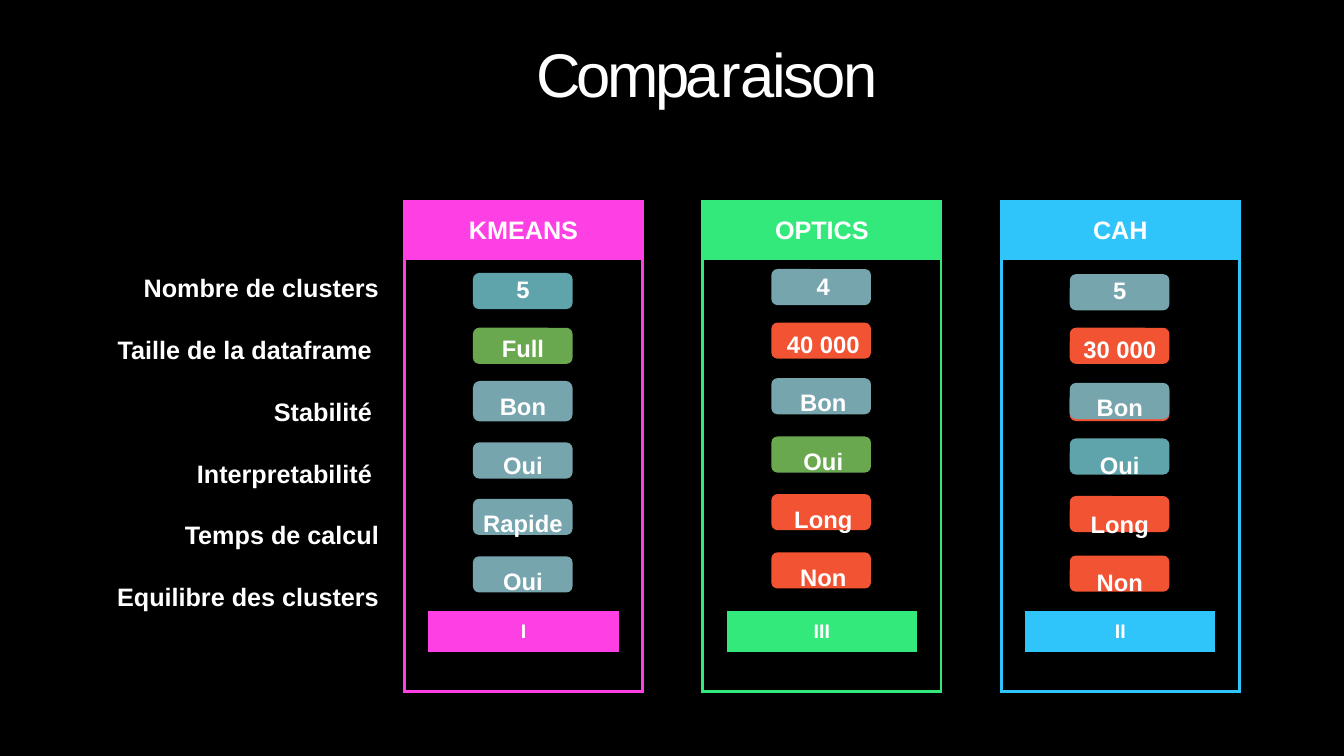
from collections import namedtuple

from lxml import etree
from pptx import Presentation
from pptx.dml.color import RGBColor
from pptx.enum.shapes import MSO_SHAPE
from pptx.enum.text import MSO_ANCHOR, MSO_AUTO_SIZE, PP_ALIGN
from pptx.oxml.ns import qn
from pptx.util import Cm, Pt

BLACK = RGBColor(0x00, 0x00, 0x00)
WHITE = RGBColor(0xFF, 0xFF, 0xFF)
PINK = RGBColor(0xFE, 0x3F, 0xE4)
GREEN = RGBColor(0x33, 0xE9, 0x7C)
BLUE = RGBColor(0x2F, 0xC5, 0xFA)
GREY = RGBColor(0x76, 0xA5, 0xAE)
TEAL = RGBColor(0x5F, 0xA4, 0xAB)
LEAF = RGBColor(0x6A, 0xA8, 0x4F)
ORANGE = RGBColor(0xF1, 0x53, 0x33)

FONT = "Arial"
CARD_LEFT, CARD_TOP, CARD_PITCH = 10.19, 5.08, 7.52
CARD_COLUMNS = (0.59, 4.79, 0.59)
CARD_ROWS = (1.47, 3.07, 2.21, 2.57, 0.99, 1.04, 0.99)
HEADER_ROW, RANK_ROW = 0, 5
CHIP_LEFT, CHIP_WIDTH, CHIP_HEIGHT = 1.73, 2.51, 0.91

CRITERIA = ("Nombre de clusters", "Taille de la dataframe ", "Stabilité ",
            "Interpretabilité ", "Temps de calcul", "Equilibre des clusters")

# Chip tops and the place of the values are in cm from the card's corner.
Method = namedtuple("Method", "name rank color values chip_colors chip_tops values_at")
METHODS = (
    Method("KMEANS", "I", PINK,
           ("5", "Full", "Bon", "Oui", "Rapide", "Oui"),
           (TEAL, LEAF, GREY, GREY, GREY, GREY),
           (1.8, 3.18, 4.52, 6.07, 7.49, 8.94), (1.3, 1.73)),
    Method("OPTICS", "III", GREEN,
           ("4", "40 000", "Bon", "Oui", "Long", "Non"),
           (GREY, ORANGE, GREY, LEAF, ORANGE, ORANGE),
           (1.7, 3.05, 4.45, 5.92, 7.37, 8.84), (1.35, 1.63)),
    Method("CAH", "II", BLUE,
           ("5", "30 000", "Bon", "Oui", "Long", "Non"),
           (GREY, ORANGE, GREY, TEAL, ORANGE, ORANGE),
           (1.83, 3.18, 4.57, 5.97, 7.42, 8.92), (1.3, 1.75)),
)


def style(paragraph, size, align):
    paragraph.alignment = align
    font = paragraph.font
    font.name, font.size, font.bold = FONT, Pt(size), True
    font.color.rgb = WHITE


def add_title(slide, left, top, width, height):
    title = slide.shapes.title
    title.left, title.top, title.width, title.height = map(Cm, (left, top, width, height))
    frame = title.text_frame
    frame.auto_size = MSO_AUTO_SIZE.NONE
    frame.vertical_anchor = MSO_ANCHOR.TOP
    frame.margin_left = frame.margin_top = Cm(0.05)
    frame.margin_right = frame.margin_bottom = 0
    paragraph = frame.paragraphs[0]
    paragraph.alignment = PP_ALIGN.LEFT
    paragraph.font.name, paragraph.font.size = FONT, Pt(44)
    paragraph.font.color.rgb = WHITE
    for text, spacing in (("Compa", -260), ("r", -180), ("aison", -190)):
        run = paragraph.add_run()
        run.text = text
        run._r.get_or_add_rPr().set("spc", str(spacing))


def add_list(slide, left, top, width, height, lines, size, align, gap):
    """Write one line per criterion, gap points apart."""
    frame = slide.shapes.add_textbox(*map(Cm, (left, top, width, height))).text_frame
    frame.word_wrap = True
    for index, line in enumerate(lines):
        paragraph = frame.add_paragraph() if index else frame.paragraphs[0]
        paragraph.text = line
        style(paragraph, size, align)
        if index:
            paragraph.space_before = Pt(gap)


def set_borders(cell, color, visible_sides):
    properties = cell._tc.get_or_add_tcPr()
    for side in "LRTB":
        line = etree.SubElement(properties, qn(f"a:ln{side}"), w=str(Pt(2.25)))
        if side in visible_sides:
            fill = etree.SubElement(line, qn("a:solidFill"))
            etree.SubElement(fill, qn("a:srgbClr"), val=str(color))
        else:
            etree.SubElement(line, qn("a:noFill"))


def add_frame(slide, left, top, method):
    """Draw the outlined table that carries a method's name and rank."""
    last_row, last_column = len(CARD_ROWS) - 1, len(CARD_COLUMNS) - 1
    table = slide.shapes.add_table(
        len(CARD_ROWS), len(CARD_COLUMNS), Cm(left), Cm(top),
        Cm(sum(CARD_COLUMNS)), Cm(sum(CARD_ROWS))).table
    table.first_row = table.horz_banding = False
    for column, width in zip(table.columns, CARD_COLUMNS):
        column.width = Cm(width)
    for r, height in enumerate(CARD_ROWS):
        table.rows[r].height = Cm(height)
        for c in range(len(CARD_COLUMNS)):
            cell = table.cell(r, c)
            cell.margin_top = cell.margin_bottom = 0
            edges = {"L": c == 0, "R": c == last_column, "T": r == 0, "B": r == last_row}
            set_borders(cell, method.color, [side for side, outer in edges.items() if outer])
            if r == HEADER_ROW or (r, c) == (RANK_ROW, 1):
                cell.fill.solid()
                cell.fill.fore_color.rgb = method.color
            else:
                cell.fill.background()
    table.cell(2, 1).merge(table.cell(3, 1))
    for row, text, size in ((HEADER_ROW, method.name, 18), (RANK_ROW, method.rank, 14)):
        cell = table.cell(row, 1)
        cell.text = text
        cell.vertical_anchor = MSO_ANCHOR.MIDDLE
        style(cell.text_frame.paragraphs[0], size, PP_ALIGN.CENTER)


def add_chip(slide, left, top, color, height=CHIP_HEIGHT):
    chip = slide.shapes.add_shape(MSO_SHAPE.ROUNDED_RECTANGLE, Cm(left), Cm(top),
                                  Cm(CHIP_WIDTH), Cm(height))
    chip.adjustments[0] = 0.17
    chip.shadow.inherit = False
    chip.fill.solid()
    chip.fill.fore_color.rgb = color
    chip.line.fill.background()


def add_card(slide, left, top, method):
    add_frame(slide, left, top, method)
    chip_left = left + CHIP_LEFT
    if method.name == "CAH":
        add_chip(slide, chip_left, top + 4.62, ORANGE)
    for index, (color, chip_top) in enumerate(zip(method.chip_colors, method.chip_tops)):
        tall = method.name == "KMEANS" and index == 2
        add_chip(slide, chip_left, top + chip_top, color, 1.02 if tall else CHIP_HEIGHT)
    dx, dy = method.values_at
    add_list(slide, left + dx, top + dy, 3.38, 9.02, method.values, 17, PP_ALIGN.CENTER, 21.3)


def main():
    presentation = Presentation()
    presentation.slide_width, presentation.slide_height = Cm(33.87), Cm(19.05)
    slide = presentation.slides.add_slide(presentation.slide_layouts[5])
    slide.background.fill.solid()
    slide.background.fill.fore_color.rgb = BLACK
    add_title(slide, 13.46, 0.86, 10.21, 1.93)
    add_list(slide, 0.8, 6.75, 9.0, 10.26, CRITERIA, 18, PP_ALIGN.RIGHT, 22.5)
    for index, method in enumerate(METHODS):
        add_card(slide, CARD_LEFT + index * CARD_PITCH, CARD_TOP, method)
    presentation.save("out.pptx")


if __name__ == "__main__":
    main()
